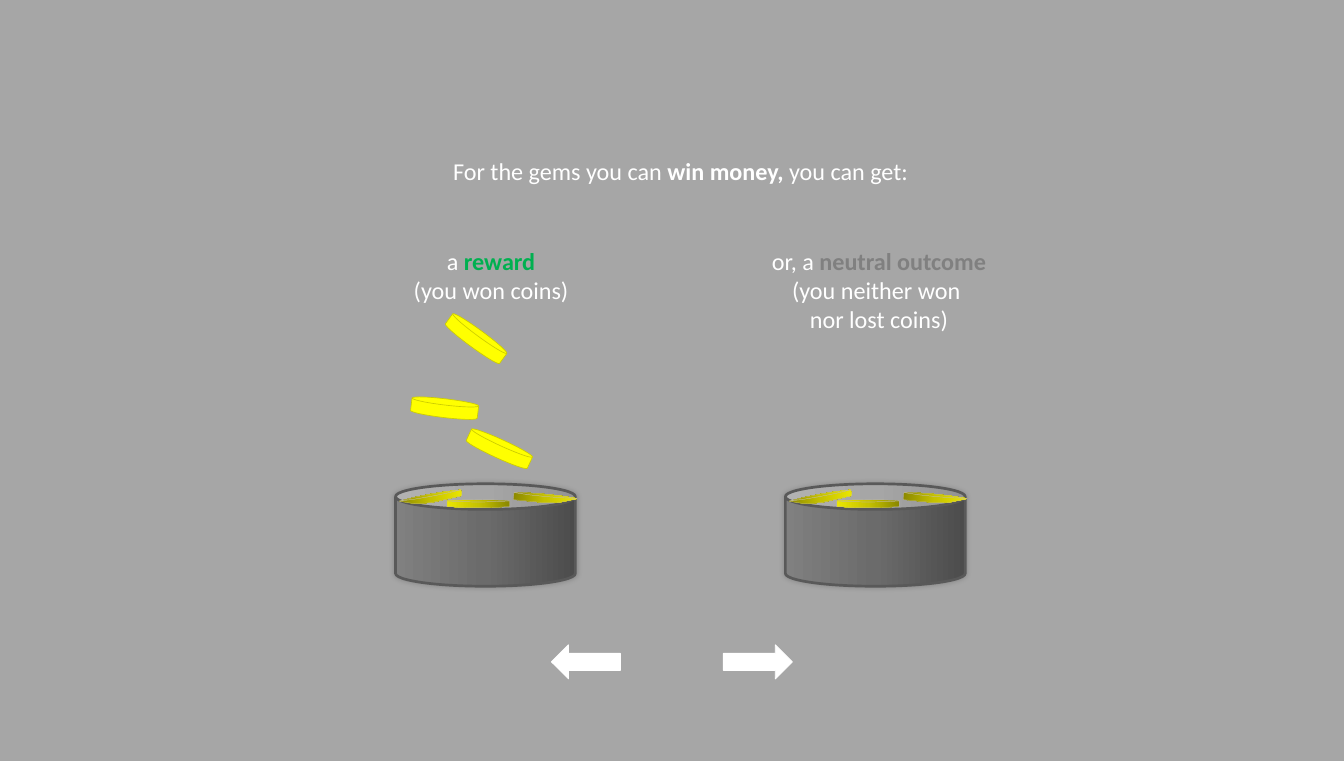
from copy import deepcopy
from lxml import etree
from pptx import Presentation
from pptx.dml.color import RGBColor
from pptx.enum import shapes, text
from pptx.oxml import ns
from pptx.util import Pt

WHITE, GREEN, GREY = "FFFFFF", "00B050", "808080"
CAN_STOPS = ["4C4C4C", "6B6B6B", "808080"]
COIN_STOPS = ["8B8800", "C6C200", "EBE600"]


def paint(s, fill, line, width, angle=0):
    """Fill with one hex colour, or with a gradient for a list of three."""
    s.shadow.inherit = False
    s.line.color.rgb = RGBColor.from_string(line)
    s.line.width = Pt(width)
    if isinstance(fill, str):
        s.fill.solid()
        s.fill.fore_color.rgb = RGBColor.from_string(fill)
        return
    s.fill.gradient()
    stop_list = s._element.spPr.find(".//" + ns.qn("a:gsLst"))
    stop_list.append(deepcopy(stop_list[0]))
    for i, stop in enumerate(s.fill.gradient_stops):
        stop.position = i / 2
        stop.color.rgb = RGBColor.from_string(fill[i])
    s.fill.gradient_angle = angle


def write(tf, lines):
    """Write centred lines, each a list of (wording, colour, bold) runs."""
    tf.word_wrap = True
    tf.margin_left = tf.margin_right = Pt(13.5)
    tf.margin_top = tf.margin_bottom = Pt(6.5)
    for i, line in enumerate(lines):
        p = tf.paragraphs[0] if i == 0 else tf.add_paragraph()
        p.alignment = text.PP_ALIGN.CENTER
        for wording, color, bold in line:
            r = p.add_run()
            r.text = wording
            r.font.name, r.font.size, r.font.bold = "Calibri", Pt(27), bold
            r.font.color.rgb = RGBColor.from_string(color)


prs = Presentation()
prs.slide_width, prs.slide_height = Pt(1502), Pt(850.5)
slide = prs.slides.add_slide(prs.slide_layouts[5])
slide.background.fill.solid()
slide.background.fill.fore_color.rgb = RGBColor.from_string("A6A6A6")

# Title, kept below the middle of its box by the top inset
title = slide.shapes.title
title.left, title.top, title.width, title.height = Pt(9.5), Pt(38), Pt(1502), Pt(240)
tf = title.text_frame
write(tf, [[("For the gems you can", WHITE, False), (" win money, ", WHITE, True),
            ("you can get:", WHITE, False)]])
tf.vertical_anchor = text.MSO_ANCHOR.MIDDLE
tf.auto_size = text.MSO_AUTO_SIZE.NONE
tf.margin_top = Pt(71.3)

# Outcome captions
captions = [
    (386, 209.5, [[("a ", WHITE, False), ("reward", GREEN, True)],
                  [("(you won coins)", WHITE, False)]]),
    (819.5, 242.5, [[("or, a ", WHITE, False), ("neutral outcome", GREY, True)],
                    [("(you neither won ", WHITE, False)],
                    [("nor lost coins)", WHITE, False)]]),
]
for left, height, lines in captions:
    box = slide.shapes.add_textbox(Pt(left), Pt(269.3), Pt(325.5), Pt(height))
    write(box.text_frame, lines)

# Pots: a can with three half-sunk coins that share one face
POT_TOP = 540.7
FACE_BACK = [(-35, -3.2), (-17, -4.4), (0, -4.7), (17, -4.4), (35, -3.2)]
FACE_FRONT = [(35, -3.2), (17, -2.2), (0, -2), (-17, -2.2), (-35, -3.2)]
sunk_coins = [  # centre in the pot, rotation, gradient angle, lower edge
    (39.2, 16.2, 349.6, 0, [(-35, -3), (-18, 3), (0, 5), (35, 3.5)]),
    (167, 16.2, 5.3, 0, [(-35, 4.8), (-3, 5), (17, 3), (35, -2.5)]),
    (92.5, 22.3, 0, 180, [(-35, 3), (-17, 4.3), (0, 4.5), (17, 4.3), (35, 3)]),
]
pots = []
for left in (877.7, 442):
    pot = slide.shapes.add_group_shape()
    pots.append(pot)
    can = pot.shapes.add_shape(shapes.MSO_SHAPE.CAN, Pt(left), Pt(POT_TOP), Pt(201), Pt(114.5))
    paint(can, CAN_STOPS, "595959", 3, 180)
    effects = can._element.spPr.find(ns.qn("a:effectLst"))
    shadow = etree.SubElement(effects, ns.qn("a:outerShdw"), blurRad=str(Pt(6)), dist="0")
    black = etree.SubElement(shadow, ns.qn("a:srgbClr"), val="000000")
    etree.SubElement(black, ns.qn("a:alpha"), val="20000")

    for x, y, rotation, angle, lower in sunk_coins:
        face = [(Pt(a), Pt(b)) for a, b in FACE_BACK + FACE_FRONT[1:-1]]
        side = [(Pt(a), Pt(b)) for a, b in lower + FACE_FRONT]
        outline = pot.shapes.build_freeform(*side[0])
        outline.add_line_segments(side[1:], close=True)
        outline.move_to(*face[0])
        outline.add_line_segments(face[1:], close=True)
        coin = outline.convert_to_shape(Pt(left + x), Pt(POT_TOP + y))
        coin.rotation = rotation
        paint(coin, COIN_STOPS, "C4BD97", 0.25, angle)

# Coins falling into the reward pot
for left, top, rotation in [(494.6, 368, 36.2), (459.4, 445.7, 6.8), (520.6, 491, 24.6)]:
    coin = pots[1].shapes.add_shape(shapes.MSO_SHAPE.FLOWCHART_MAGNETIC_DISK,
                                    Pt(left), Pt(top), Pt(75), Pt(21))
    coin.rotation = rotation
    paint(coin, "FFFF00", "CCCC00", 0.75)

# Navigation arrows
arrows = slide.shapes.add_group_shape()
for left, rotation in [(808.5, 0), (616.3, 180)]:
    arrow = arrows.shapes.add_shape(shapes.MSO_SHAPE.RIGHT_ARROW,
                                    Pt(left), Pt(720.7), Pt(77), Pt(38))
    arrow.rotation = rotation
    paint(arrow, WHITE, WHITE, 1)

prs.save("out.pptx")
